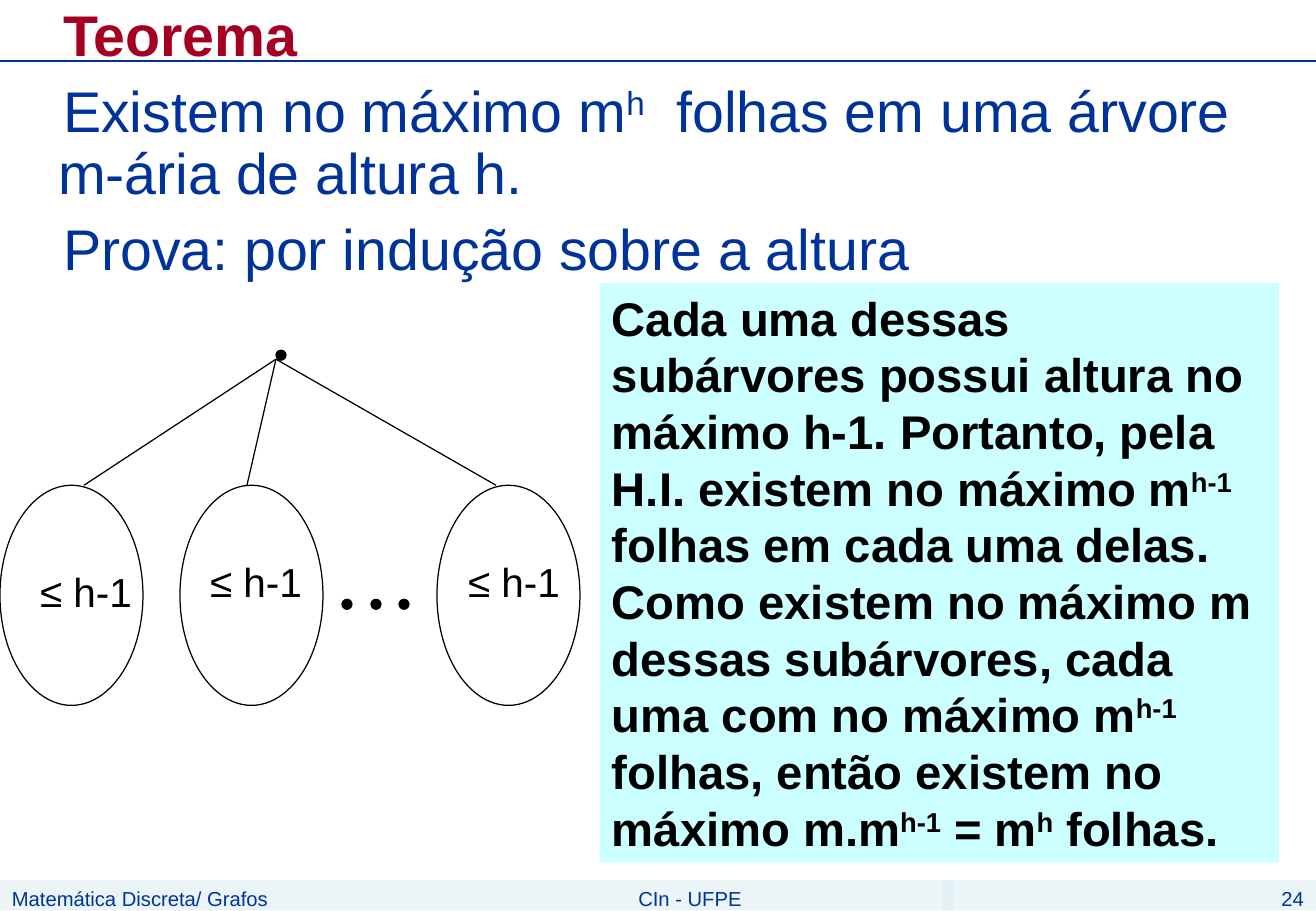
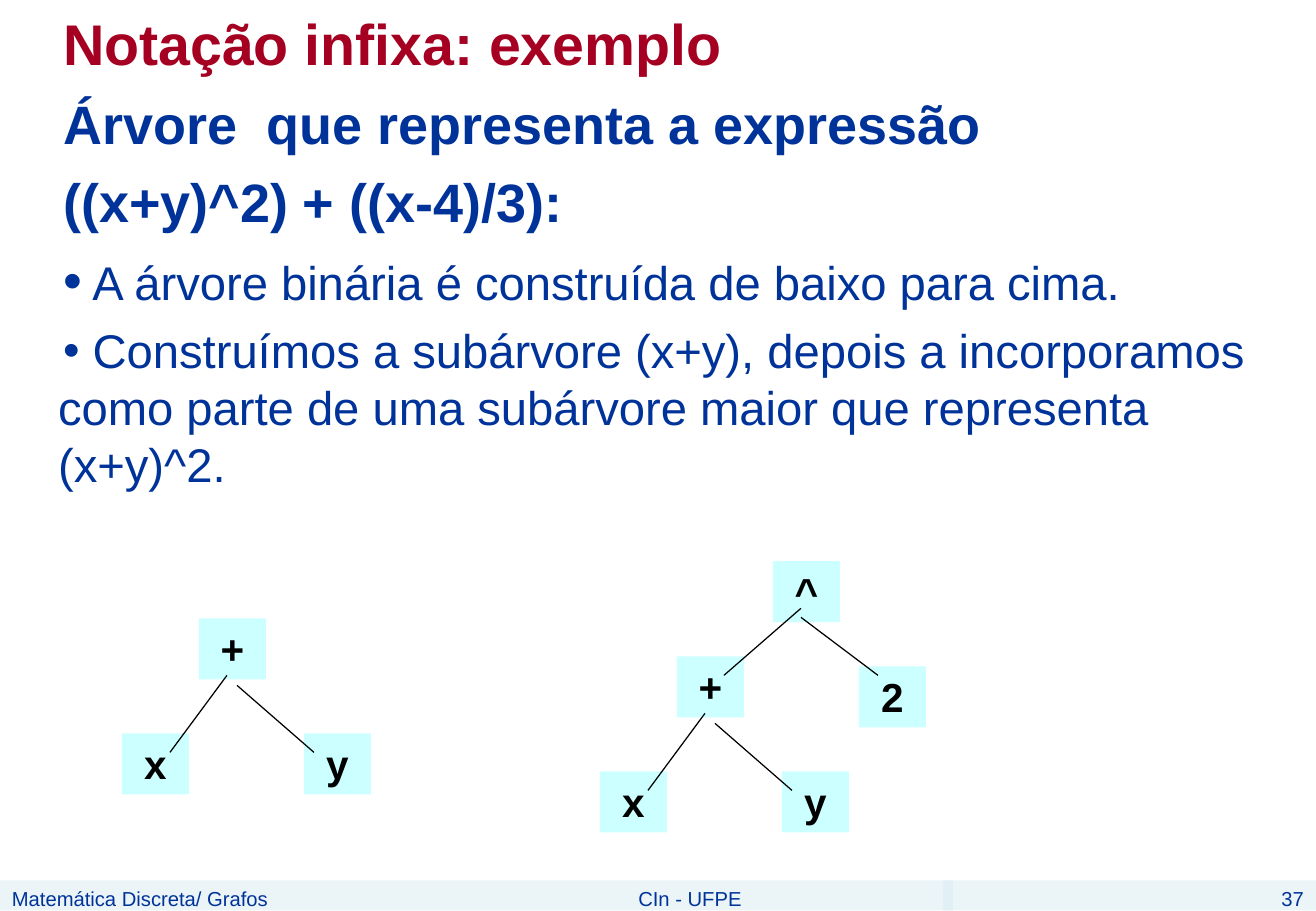
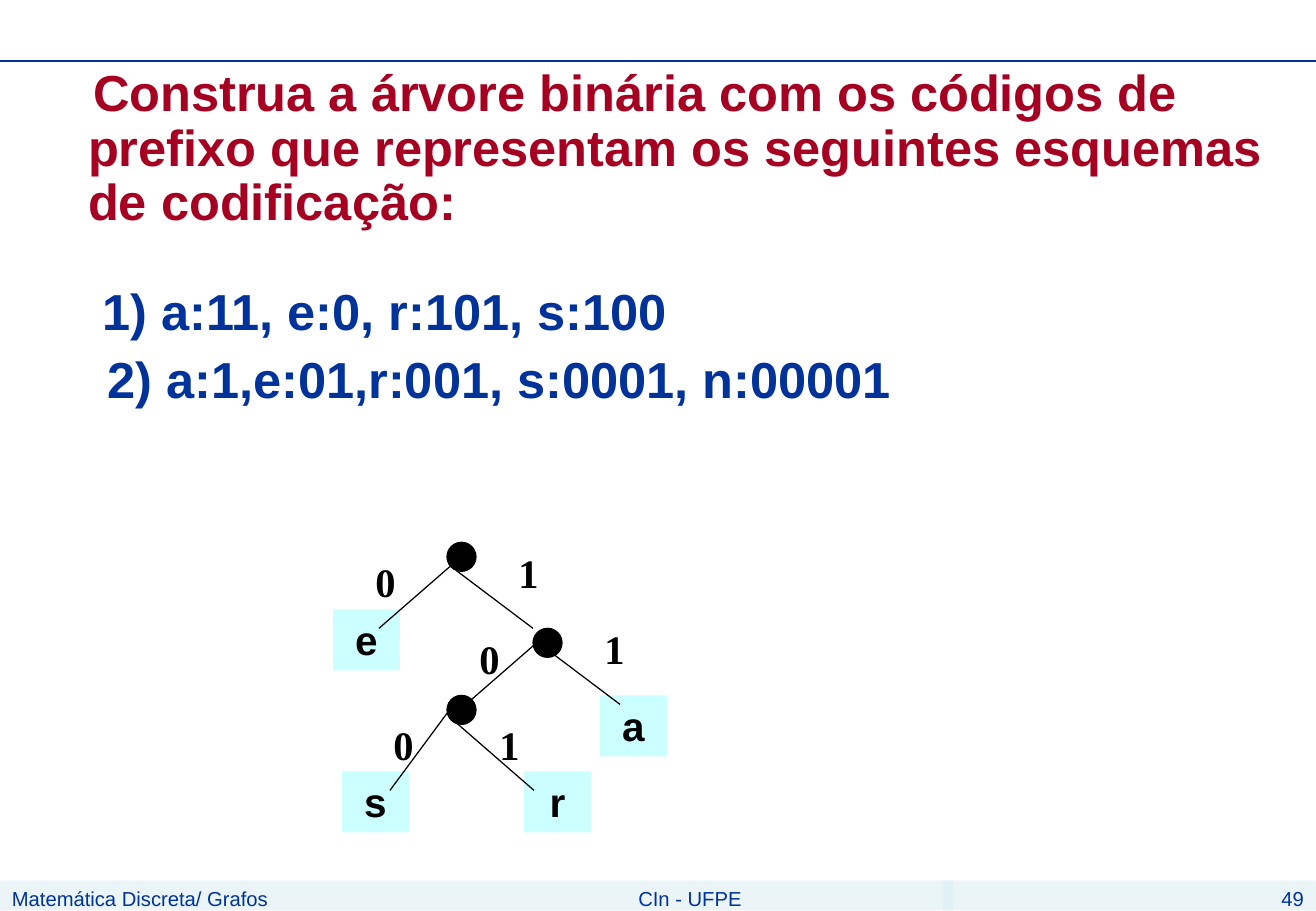
from lxml.etree import SubElement
from pptx import Presentation
from pptx.dml.color import RGBColor
from pptx.enum.shapes import MSO_CONNECTOR, MSO_SHAPE
from pptx.enum.text import MSO_ANCHOR, MSO_AUTO_SIZE, PP_ALIGN
from pptx.oxml.ns import qn
from pptx.util import Inches, Pt

EMU = 7532
WIDE = 1316
COLORS = {"red": "A50021", "blue": "003399", "black": "000000",
          "cyan": "CCFFFF", "band": "D9ECF3"}
LEFT, MID, RIGHT = PP_ALIGN.LEFT, PP_ALIGN.CENTER, PP_ALIGN.RIGHT

BASE = {"size": 24, "bold": False, "name": "Arial", "color": "black",
        "align": LEFT, "lead": 1.2, "before": 0, "left": 0, "first": 0,
        "bullet": 0}
HEAD = {"size": 34, "bold": True, "color": "red", "left": 46, "first": 5}
BODY = {"size": 34, "color": "blue", "left": 46, "first": 5}
FOOT = {"size": 12, "color": "blue"}
NODE = {"bold": True, "align": MID}
MARK = NODE | {"name": "Times New Roman"}


def px(*nums):
    return [round(n * EMU) for n in nums]


def tint(name):
    return RGBColor.from_string(COLORS[name])


class Deck:
    def __init__(self):
        self.prs = Presentation()
        self.prs.slide_width = Inches(10.84)
        self.prs.slide_height = Inches(7.5)

    def start(self, num, ruled=True):
        self.slide = self.prs.slides.add_slide(self.prs.slide_layouts[1])
        self.shapes = self.slide.shapes
        for x, wide, text, align in ((0, 427, "Matemática Discreta/ Grafos", LEFT),
                                     (427, 526, "CIn - UFPE", MID),
                                     (943, 373, num, RIGHT)):
            band = self.shape((x, 880, wide, 30), fill="band")
            clr = band._element.spPr.find(qn("a:solidFill"))[0]
            SubElement(clr, qn("a:alpha")).set("val", "50000")
            self.text(band, [text], FOOT | {"align": align})
        if ruled:
            self.line((0, 61), (WIDE, 61), "blue")

    def text(self, shape, paras, style):
        """Each paragraph is a text, a list whose odd items are superscript,
        or a pair of either with its own format."""
        frame = shape.text_frame
        for key, val in {"word_wrap": True, "auto_size": MSO_AUTO_SIZE.NONE,
                         "vertical_anchor": MSO_ANCHOR.TOP}.items():
            setattr(frame, key, val)
        for i, item in enumerate(paras):
            runs, own = item if isinstance(item, tuple) else (item, {})
            fmt = BASE | style | own
            para = frame.add_paragraph() if i else frame.paragraphs[0]
            self.space(para, fmt, i)
            for k, words in enumerate([runs] if isinstance(runs, str) else runs):
                run = para.add_run()
                run.text = words
                for key in ("size", "bold", "name"):
                    val = fmt[key]
                    setattr(run.font, key, Pt(val) if key == "size" else val)
                run.font.color.rgb = tint(fmt["color"])
                if k % 2:
                    run._r.get_or_add_rPr().set("baseline", "30000")

    def space(self, para, fmt, order):
        para.alignment = fmt["align"]
        para.line_spacing = Pt(fmt["size"] * fmt["lead"])
        para.space_before = Pt(fmt["before"] if order else 0)
        prop = para._p.get_or_add_pPr()
        for key, val in zip(("marL", "indent"), px(fmt["left"], fmt["first"])):
            prop.set(key, str(val))
        if not fmt["bullet"]:
            SubElement(prop, qn("a:buNone"))
            return
        hue = SubElement(prop, qn("a:buClr"))
        SubElement(hue, qn("a:srgbClr")).set("val", COLORS[fmt["color"]])
        SubElement(prop, qn("a:buSzPct")).set("val", str(fmt["bullet"] * 1000))
        SubElement(prop, qn("a:buFont")).set("typeface", "Arial")
        SubElement(prop, qn("a:buChar")).set("char", "•")

    def hold(self, index, box, paras, style):
        """Fill the title (0) or body (1) placeholder."""
        shape = self.slide.placeholders[index]
        for key, val in zip(("left", "top", "width", "height"), px(*box)):
            setattr(shape, key, val)
        self.text(shape, paras, style)

    def head(self, box, text, **own):
        self.hold(0, box, [text], HEAD | own)

    def body(self, box, paras, **own):
        self.hold(1, box, paras, BODY | own)

    def shape(self, box, kind=MSO_SHAPE.RECTANGLE, fill=None, edge=None):
        shape = self.shapes.add_shape(kind, *px(*box))
        shape.shadow.inherit = False
        if fill:
            shape.fill.solid()
            shape.fill.fore_color.rgb = tint(fill)
        else:
            shape.fill.background()
        if edge:
            shape.line.color.rgb = tint(edge)
            shape.line.width = Pt(0.75)
        else:
            shape.line.fill.background()
        return shape

    def oval(self, x, y, wide, tall, fill=None):
        self.shape((x, y, wide, tall), MSO_SHAPE.OVAL, fill, "black")

    def dot(self, x, y, size):
        self.oval(x, y, size, size, "black")

    def label(self, box, text, style):
        self.text(self.shapes.add_textbox(*px(*box)), [text], style)

    def panel(self, box, text, style):
        self.text(self.shape(box, fill="cyan"), [text], style)

    def node(self, x, y, text):
        self.panel((x, y, 67, 61), text, NODE)

    def line(self, start, end, color="black"):
        link = self.shapes.add_connector(MSO_CONNECTOR.STRAIGHT,
                                         *px(*start, *end))
        link.line.color.rgb = tint(color)
        link.line.width = Pt(0.75)
        SubElement(link._element.spPr, qn("a:effectLst"))

    def fork(self, x, y):
        """Two branches that leave from one point."""
        self.line((x, y), (x - 77, y + 67))
        self.line((x, y + 9), (x + 77, y + 67))

    def twig(self, x, y, left, right):
        """Two leaves with their branches, below a node at x, y."""
        self.node(x - 77, y + 115, left)
        self.node(x + 105, y + 115, right)
        self.line((x + 28, y + 57), (x - 29, y + 134))
        self.line((x + 38, y + 67), (x + 115, y + 134))


def proof(deck):
    deck.start("24")
    deck.head((0, 0, WIDE, 61), "Teorema", lead=1.08)
    deck.body((0, 76, WIDE, 236), [
        ["Existem no máximo m", "h", "  folhas em uma árvore m-ária de altura h."],
        "Prova: por indução sobre a altura"], lead=1.08, before=8.5)
    for x, left, y, end in ((0, 0, 561, 84), (180, 170, 551, 247),
                            (437, 428, 551, 496)):
        deck.oval(x, 485, 143, 220)
        deck.label((left, y, 172, 61), "≤ h-1", {"align": MID})
        deck.line((276, 359), (end, 485))
    for x, y in ((276, 350), (342, 599), (371, 599), (399, 599)):
        deck.dot(x, y, 10)
    deck.panel((600, 283, 679, 579), [
        "Cada uma dessas subárvores possui altura no máximo h-1. Portanto, "
        "pela H.I. existem no máximo m", "h-1",
        " folhas em cada uma delas. Como existem no máximo m dessas "
        "subárvores, cada uma com no máximo m", "h-1",
        " folhas, então existem no máximo m.m", "h-1", " = m", "h",
        " folhas."], {"size": 28, "bold": True})


def infix(deck):
    deck.start("37", ruled=False)
    deck.head((0, 2, 1288, 80), "Notação infixa: exemplo")
    bold = {"size": 32, "bold": True, "before": 8}
    item = {"size": 28, "before": 7, "bullet": 100}
    deck.body((0, 84, 1288, 438), [
        ("Árvore  que representa a expressão", bold),
        ("((x+y)^2) + ((x-4)/3):", bold),
        (" A árvore binária é construída de baixo para cima.",
         item | {"bullet": 114, "lead": 1.37}),
        (" Construímos a subárvore (x+y), depois a incorporamos como parte "
         "de uma subárvore maior que representa (x+y)^2.", item)])
    for x, y in ((199, 618), (677, 656)):
        deck.node(x, y, "+")
        deck.twig(x, y, "x", "y")
    deck.node(859, 666, "2")
    deck.node(773, 561, "^")
    deck.fork(801, 608)


def prefix(deck):
    deck.start("49")
    deck.head((30, 61, 1248, 180),
              "Construa a árvore binária com os códigos de prefixo que "
              "representam os seguintes esquemas de codificação:",
              size=30, lead=1.08)
    deck.body((30, 280, 1248, 138), [
        ("1) a:11, e:0, r:101, s:100", {"first": 14}),
        ("2) a:1,e:01,r:001, s:0001, n:00001", {"first": 19})],
        size=30, bold=True, lead=1.08, before=7.5)
    deck.twig(419, 656, "s", "r")
    deck.node(600, 695, "a")
    deck.node(333, 609, "e")
    deck.fork(543, 637)
    deck.fork(456, 561)
    for x, y in ((533, 628), (447, 695), (447, 542)):
        deck.dot(x, y, 29)
    for x, y, bit in ((352, 551, "0"), (495, 542, "1"), (456, 628, "0"),
                      (581, 618, "1"), (370, 714, "0"), (476, 714, "1")):
        deck.label((x, y, 67, 61), bit, MARK)


def main():
    deck = Deck()
    for draw in (proof, infix, prefix):
        draw(deck)
    deck.prs.save("out.pptx")


if __name__ == "__main__":
    main()
